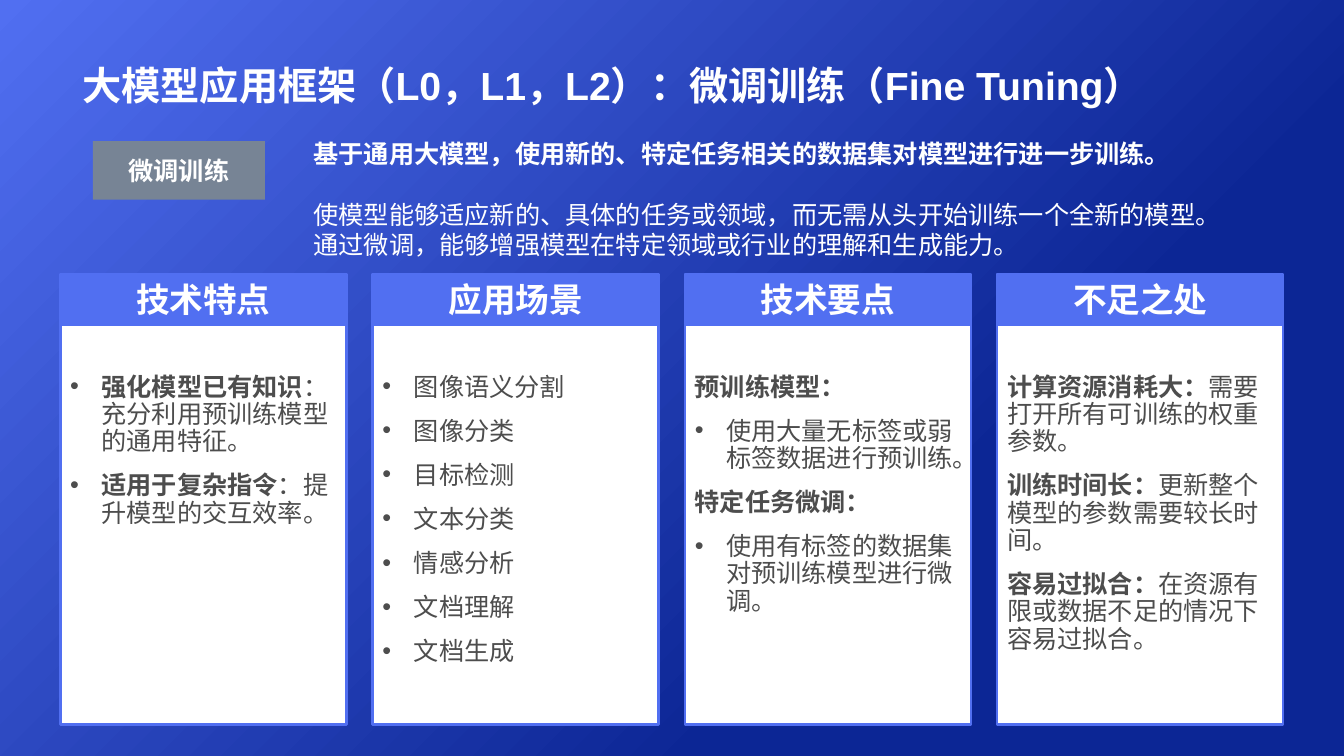
from dataclasses import dataclass
from lxml.etree import SubElement as Sub
from pptx import Presentation as Deck
from pptx.dml.color import RGBColor as Rgb
from pptx.enum.shapes import MSO_SHAPE as Kind
from pptx.enum.text import MSO_ANCHOR as Anchor, PP_ALIGN as Align
from pptx.oxml.ns import qn
from pptx.util import Cm, Pt


@dataclass(frozen=True)
class Theme:
    font: str = "Arial"
    navy: str = "0C2695"
    blue: str = "516FF1"
    gray: str = "778495"
    white: str = "FFFFFF"
    ink: str = "4D4D4D"
    title: float = 28
    head: float = 24
    body: float = 18
    line: float = 1.75
    lead: float = 19.5
    gap: float = 12


# Each item: bulleted, bold part, plain part
COLS = [
    ("技术特点", [
        (True, "强化模型已有知识", "：充分利用预训练模型的通用特征。"),
        (True, "适用于复杂指令", "：提升模型的交互效率。"),
    ]),
    ("应用场景", [
        (True, "", task) for task in (
            "图像语义分割", "图像分类", "目标检测", "文本分类",
            "情感分析", "文档理解", "文档生成")
    ]),
    ("技术要点", [
        (False, "预训练模型：", ""),
        (True, "", "使用大量无标签或弱标签数据进行预训练。"),
        (False, "特定任务微调：", ""),
        (True, "", "使用有标签的数据集对预训练模型进行微调。"),
    ]),
    ("不足之处", [
        (False, "计算资源消耗大：", "需要打开所有可训练的权重参数。"),
        (False, "训练时间长：", "更新整个模型的参数需要较长时间。"),
        (False, "容易过拟合：", "在资源有限或数据不足的情况下容易过拟合。"),
    ]),
]
INTRO = [
    (False, "基于通用大模型，使用新的、特定任务相关的数据集对模型进行进一步训练。", ""),
    (False, "", "使模型能够适应新的、具体的任务或领域，而无需从头开始训练一个全新的模型。"
                "通过微调，能够增强模型在特定领域或行业的理解和生成能力。"),
]


class Page:
    def __init__(self, slide, theme):
        self.slide, self.theme = slide, theme

    def back(self):
        fill = self.slide.background.fill
        fill.gradient()
        fill.gradient_angle = 135
        stops = ((0.31, self.theme.navy), (1, self.theme.blue))
        for stop, (place, tint) in zip(fill.gradient_stops, stops):
            stop.position = place
            stop.color.rgb = Rgb.from_string(tint)

    def box(self, area, fill, line=None):
        shape = self.slide.shapes.add_shape(Kind.RECTANGLE, *map(Cm, area))
        shape.shadow.inherit = False
        shape.fill.solid()
        shape.fill.fore_color.rgb = Rgb.from_string(fill)
        if line:
            shape.line.color.rgb = Rgb.from_string(line)
            shape.line.width = Pt(self.theme.line)
        else:
            shape.line.fill.background()
        return shape.text_frame

    def text(self, area, anchor=Anchor.TOP):
        frame = self.slide.shapes.add_textbox(*map(Cm, area)).text_frame
        frame.word_wrap = True
        frame.vertical_anchor = anchor
        return frame

    def style(self, run, size, tint, bold):
        run.font.name = self.theme.font
        run.font.size = Pt(size)
        run.font.bold = bold
        run.font.color.rgb = Rgb.from_string(tint)

    def label(self, frame, words, size, align=Align.CENTER):
        frame.text = words
        para = frame.paragraphs[0]
        para.alignment = align
        self.style(para.runs[0], size, self.theme.white, True)

    def items(self, frame, rows, tint, gap, lead=None):
        for num, (dot, bold, plain) in enumerate(rows):
            para = frame.add_paragraph() if num else frame.paragraphs[0]
            para.alignment = Align.LEFT
            para.space_after = Pt(gap)
            if lead:
                para.line_spacing = Pt(lead)
            for words, heavy in ((bold, True), (plain, False)):
                if words:
                    run = para.add_run()
                    run.text = words
                    self.style(run, self.theme.body, tint, heavy)
            if dot:
                self.bullet(para)

    def bullet(self, para):
        prop = para._p.get_or_add_pPr()
        prop.set("marL", str(Cm(0.79)))
        prop.set("indent", str(-Cm(0.79)))
        Sub(prop, qn("a:buFont")).set("typeface", self.theme.font)
        Sub(prop, qn("a:buChar")).set("char", "•")

    def column(self, left, name, rows):
        look = self.theme
        wide, top, high = 7.21, 6.91, 1.27
        head = self.box((left, top, wide, high), look.blue, look.blue)
        head.vertical_anchor = Anchor.MIDDLE
        self.label(head, name, look.head)
        body = self.box((left, top + high, wide, 10.08), look.white, look.blue)
        body.vertical_anchor = Anchor.TOP
        body.margin_top = Cm(1.24)
        self.items(body, rows, look.ink, look.gap, look.lead)


def main():
    deck = Deck()
    deck.slide_width, deck.slide_height = Cm(33.87), Cm(19.05)
    look = Theme()
    page = Page(deck.slides.add_slide(deck.slide_layouts[6]), look)
    page.back()
    title = page.text((1.83, 0.36, 30.18, 2.49), Anchor.BOTTOM)
    page.label(title, "大模型应用框架（L0，L1，L2）：微调训练（Fine Tuning）",
               look.title, Align.LEFT)
    page.items(page.text((7.65, 3.35, 23.88, 3.33)), INTRO, look.white, 22)
    for num, (name, rows) in enumerate(COLS):
        page.column(1.52 + 7.87 * num, name, rows)
    tag = page.box((2.34, 3.56, 4.34, 1.47), look.gray)
    tag.vertical_anchor = Anchor.MIDDLE
    page.label(tag, "微调训练", look.body)
    deck.save("out.pptx")


if __name__ == "__main__":
    main()
